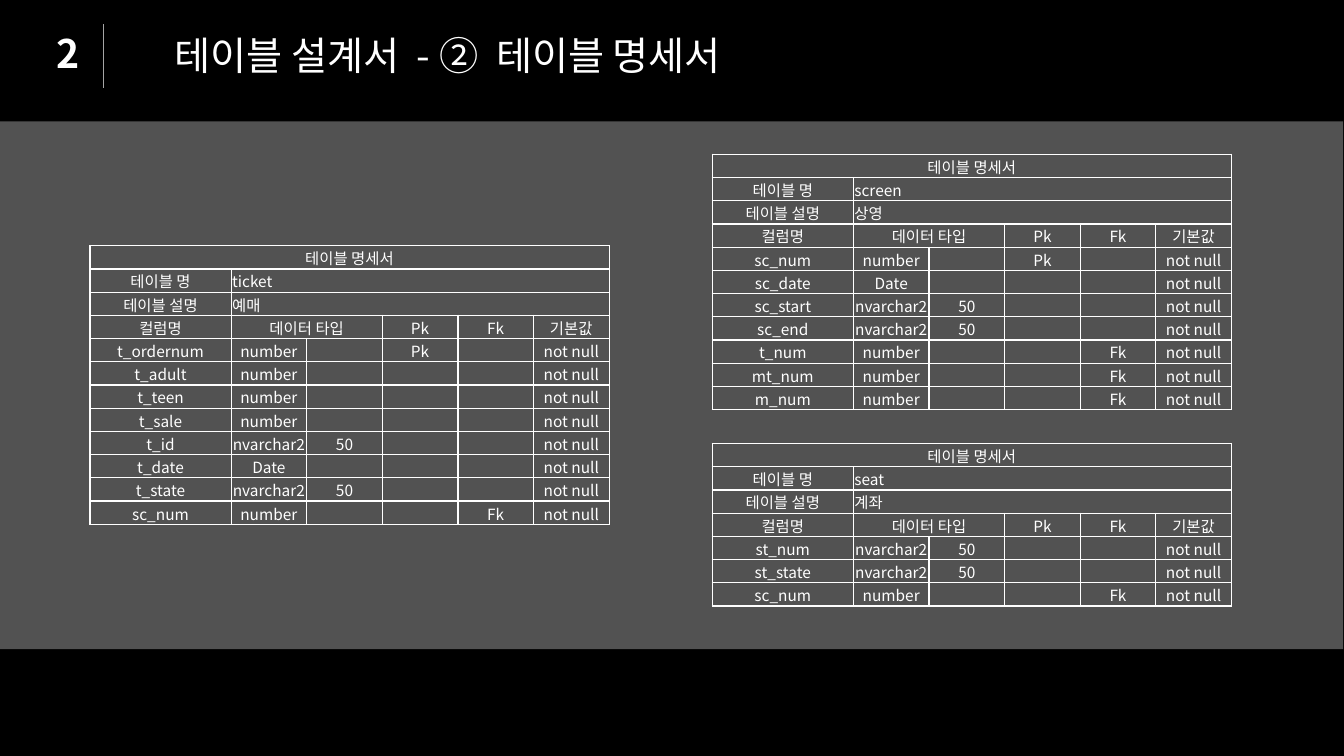
from dataclasses import dataclass

from lxml.etree import SubElement
from pptx import Presentation
from pptx.dml.color import RGBColor
from pptx.enum.shapes import MSO_CONNECTOR as Connector, MSO_SHAPE as Preset
from pptx.enum.text import MSO_ANCHOR as Anchor, MSO_AUTO_SIZE as AutoSize, PP_ALIGN as Align
from pptx.oxml.ns import qn
from pptx.util import Pt

FONT = "Noto Sans CJK KR"
WHITE, GREY, BLACK = "FFFFFF", "A5A5A5", "000000"
COLUMN_WIDTHS = [100.8] + [54] * 5
ROW_HEIGHT = 16.6
CELL_INSET = 0.72
TITLE_SIZE = 28
WIDE_GAP = 6.3


@dataclass(frozen=True)
class Field:
    name: str
    kind: str
    length: str = ""
    primary: str = ""
    foreign: str = ""

    def cells(self) -> list[str]:
        return [self.name, self.kind, self.length, self.primary, self.foreign, "not null"]


@dataclass(frozen=True)
class TableSheet:
    name: str
    description: str
    left: float
    top: float
    fields: tuple[Field, ...]


SHEETS = (
    TableSheet("ticket", "예매", 64.3, 175.5, (
        Field("t_ordernum", "number", primary="Pk"),
        Field("t_adult", "number"),
        Field("t_teen", "number"),
        Field("t_sale", "number"),
        Field("t_id", "nvarchar2", "50"),
        Field("t_date", "Date"),
        Field("t_state", "nvarchar2", "50"),
        Field("sc_num", "number", foreign="Fk"),
    )),
    TableSheet("seat", "계좌", 508.8, 316.8, (
        Field("st_num", "nvarchar2", "50"),
        Field("st_state", "nvarchar2", "50"),
        Field("sc_num", "number", foreign="Fk"),
    )),
    TableSheet("screen", "상영", 508.8, 110.2, (
        Field("sc_num", "number", primary="Pk"),
        Field("sc_date", "Date"),
        Field("sc_start", "nvarchar2", "50"),
        Field("sc_end", "nvarchar2", "50"),
        Field("t_num", "number", foreign="Fk"),
        Field("mt_num", "number", foreign="Fk"),
        Field("m_num", "number", foreign="Fk"),
    )),
)


def color(value: str) -> RGBColor:
    return RGBColor.from_string(value)


def write(para, text: str, *, size: float, bold: bool = False,
          align: Align = Align.LEFT, spacing: float = 0) -> None:
    """Append a white span; spacing widens its characters, in points."""
    para.alignment = align
    span = para.add_run()
    span.text = text
    span.font.size = Pt(size)
    span.font.bold = bold
    span.font.name = FONT
    span.font.color.rgb = color(WHITE)
    properties = span.font._element
    SubElement(properties, qn("a:ea"), typeface=FONT)
    if spacing:
        properties.set("spc", str(round(spacing * 100)))


def add_band(page) -> None:
    band = page.shapes.add_shape(Preset.RECTANGLE, Pt(-0.5), Pt(86.7), Pt(960), Pt(377))
    band.shadow.inherit = False
    band.line.fill.background()
    band.fill.solid()
    band.fill.fore_color.rgb = color(GREY)
    fill_color = band._element.spPr.find(qn("a:solidFill"))[0]
    SubElement(fill_color, qn("a:alpha"), val="50000")


def add_divider(page) -> None:
    divider = page.shapes.add_connector(Connector.STRAIGHT, Pt(74.2), Pt(17.3), Pt(74.2), Pt(63))
    divider.line.color.rgb = color(GREY)
    divider.line.width = Pt(0.5)
    SubElement(divider._element.spPr, qn("a:effectLst"))


def add_number(page) -> None:
    box = page.shapes.add_textbox(Pt(33), Pt(17.3), Pt(32), Pt(41.2))
    box.text_frame.word_wrap = True
    write(box.text_frame.paragraphs[0], "2", size=TITLE_SIZE, bold=True)


def format_title(page) -> None:
    title = page.shapes.title
    title.left, title.top, title.width, title.height = Pt(69.1), Pt(18.7), Pt(453), Pt(41.2)
    frame = title.text_frame
    frame.auto_size = AutoSize.NONE
    frame.vertical_anchor = Anchor.TOP
    for text in ("테이블 설계서", " ", "- ②", " ", "테이블 명세서"):
        write(frame.paragraphs[0], text, size=TITLE_SIZE, align=Align.RIGHT,
              spacing=WIDE_GAP if text == " " else 0)


def add_borders(cell) -> None:
    properties = cell._tc.get_or_add_tcPr()
    for index, side in enumerate(("lnL", "lnR", "lnT", "lnB")):
        line = SubElement(properties, qn(f"a:{side}"), w=str(Pt(1)))
        SubElement(SubElement(line, qn("a:solidFill")), qn("a:srgbClr"), val=WHITE)
        properties.insert(index, line)


def format_cell(cell, text: str, align: Align) -> None:
    cell.fill.background()
    cell.vertical_anchor = Anchor.MIDDLE
    cell.margin_left = cell.margin_right = cell.margin_top = Pt(CELL_INSET)
    cell.margin_bottom = 0
    add_borders(cell)
    para = cell.text_frame.paragraphs[0]
    if text:
        write(para, text, size=11, align=align)
    else:
        # An empty cell needs a small text size, or its row grows.
        SubElement(para._p, qn("a:endParaRPr"), sz="1100")


def add_sheet(page, sheet: TableSheet) -> None:
    rows = [
        ["테이블 명세서"] + [""] * 5,
        ["테이블 명", sheet.name] + [""] * 4,
        ["테이블 설명", sheet.description] + [""] * 4,
        ["컬럼명", "데이터 타입", "", "Pk", "Fk", "기본값"],
        *(field.cells() for field in sheet.fields),
    ]
    table = page.shapes.add_table(
        len(rows), len(COLUMN_WIDTHS), Pt(sheet.left), Pt(sheet.top),
        Pt(sum(COLUMN_WIDTHS)), Pt(ROW_HEIGHT * len(rows))).table
    table.first_row = table.horz_banding = False
    for column, width in zip(table.columns, COLUMN_WIDTHS):
        column.width = Pt(width)
    for row_index, texts in enumerate(rows):
        table.rows[row_index].height = Pt(ROW_HEIGHT)
        for column_index, text in enumerate(texts):
            is_value = row_index in (1, 2) and column_index == 1
            format_cell(table.cell(row_index, column_index), text,
                        Align.LEFT if is_value else Align.CENTER)
    for row_index, first, last in ((0, 0, 5), (1, 1, 5), (2, 1, 5), (3, 1, 2)):
        table.cell(row_index, first).merge(table.cell(row_index, last))


def main() -> None:
    deck = Presentation()
    deck.slide_width, deck.slide_height = Pt(960), Pt(540)
    page = deck.slides.add_slide(deck.slide_layouts.get_by_name("Title Only"))
    page.background.fill.solid()
    page.background.fill.fore_color.rgb = color(BLACK)
    add_band(page)
    add_divider(page)
    add_number(page)
    format_title(page)
    for sheet in SHEETS:
        add_sheet(page, sheet)
    deck.save("out.pptx")


if __name__ == "__main__":
    main()
